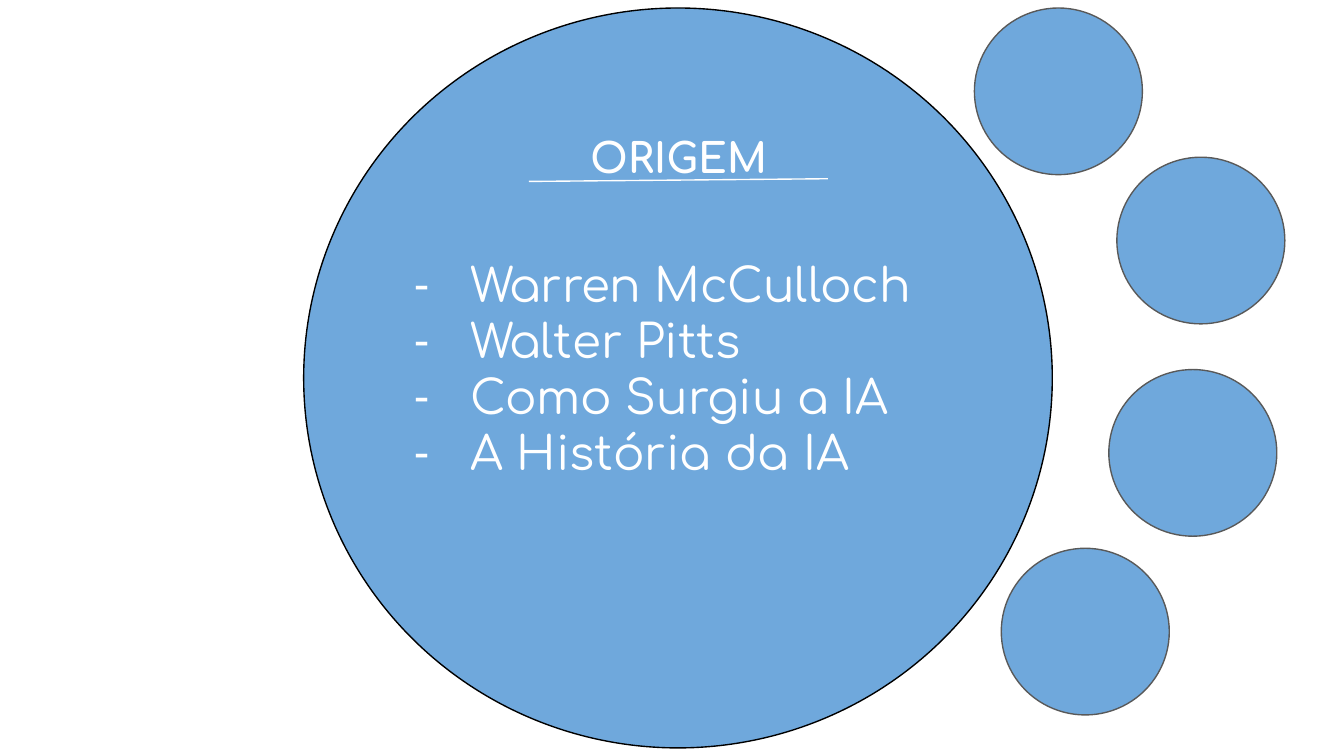
from lxml.etree import SubElement
from pptx import Presentation
from pptx.dml.color import RGBColor
from pptx.enum.shapes import MSO_CONNECTOR as Link, MSO_SHAPE as Shape
from pptx.enum.text import MSO_ANCHOR as Anchor, MSO_AUTO_SIZE as Fit, PP_ALIGN as Align
from pptx.oxml.ns import qn
from pptx.util import Pt

PX = 4572
FONT = "Comfortaa"
BLUE = RGBColor(0x6F, 0xA8, 0xDC)
WHITE = RGBColor(0xFF, 0xFF, 0xFF)
BLACK = RGBColor(0x00, 0x00, 0x00)
GRAY = RGBColor(0x59, 0x59, 0x59)
TOPICS = ["Warren McCulloch", "Walter Pitts", "Como Surgiu a IA", "A História da IA"]
DOTS = [(1450, 12), (1662, 234), (1650, 550), (1490, 816)]


def place(shape, *box):
    """Move a shape to a box given in px."""
    shape.left, shape.top, shape.width, shape.height = [n * PX for n in box]


def disc(slide, box, edge):
    """Draw a blue circle with a thin edge."""
    shape = slide.shapes.add_shape(Shape.OVAL, *[n * PX for n in box])
    shape.shadow.inherit = False
    shape.fill.solid()
    shape.fill.fore_color.rgb = BLUE
    shape.line.color.rgb = edge
    shape.line.width = Pt(0.75)
    return shape


def rule(slide, x, y, wide, rise):
    """Draw the slightly slanted white line under the title."""
    line = slide.shapes.add_connector(
        Link.STRAIGHT, x * PX, y * PX, (x + wide) * PX, (y - rise) * PX)
    line.line.color.rgb = WHITE
    line.line.width = Pt(0.75)
    SubElement(line.element.spPr, qn("a:effectLst"))


def write(shape, lines, size, bold, align):
    """Fill a placeholder with white text."""
    frame = shape.text_frame
    frame.text = "\n".join(lines)
    frame.word_wrap = True
    frame.auto_size = Fit.NONE
    frame.vertical_anchor = Anchor.TOP
    frame.margin_left = frame.margin_right = 20 * PX
    frame.margin_top = frame.margin_bottom = 20 * PX
    for para in frame.paragraphs:
        para.alignment = align
        para.space_before = Pt(0)
        if align == Align.LEFT:
            dash(para)
        font = para.font
        font.name, font.size, font.bold = FONT, Pt(size), bold
        font.color.rgb = WHITE


def dash(para):
    """Give a paragraph a white dash and a hanging indent."""
    props = para._p.get_or_add_pPr()
    props.set("marL", str(100 * PX))
    props.set("indent", str(-84 * PX))
    tint = SubElement(props, qn("a:buClr"))
    SubElement(tint, qn("a:srgbClr"), val=str(WHITE))
    SubElement(props, qn("a:buChar"), char="-")


def hub(slide, x, y, wide, high):
    """Build the large circle with its title, line and list."""
    back = disc(slide, (x, y, wide, high), BLACK)
    slide.shapes.element.insert(2, back.element)
    title, body = slide.placeholders
    place(title, x + 230, y + 165, 656, 90)
    write(title, ["ORIGEM"], 22, True, Align.CENTER)
    rule(slide, x + 335, y + 258, 445, 4)
    place(body, x + 128, y + 349, 896, 604)
    write(body, TOPICS, 25, False, Align.LEFT)


def main():
    """Build and save the slide."""
    deck = Presentation()
    deck.slide_width, deck.slide_height = 2000 * PX, 1125 * PX
    slide = deck.slides.add_slide(deck.slide_layouts[1])
    hub(slide, 452, 12, 1114, 1101)
    for x, y in DOTS:
        disc(slide, (x, y, 250, 248), GRAY)
    deck.save("out.pptx")


if __name__ == "__main__":
    main()
